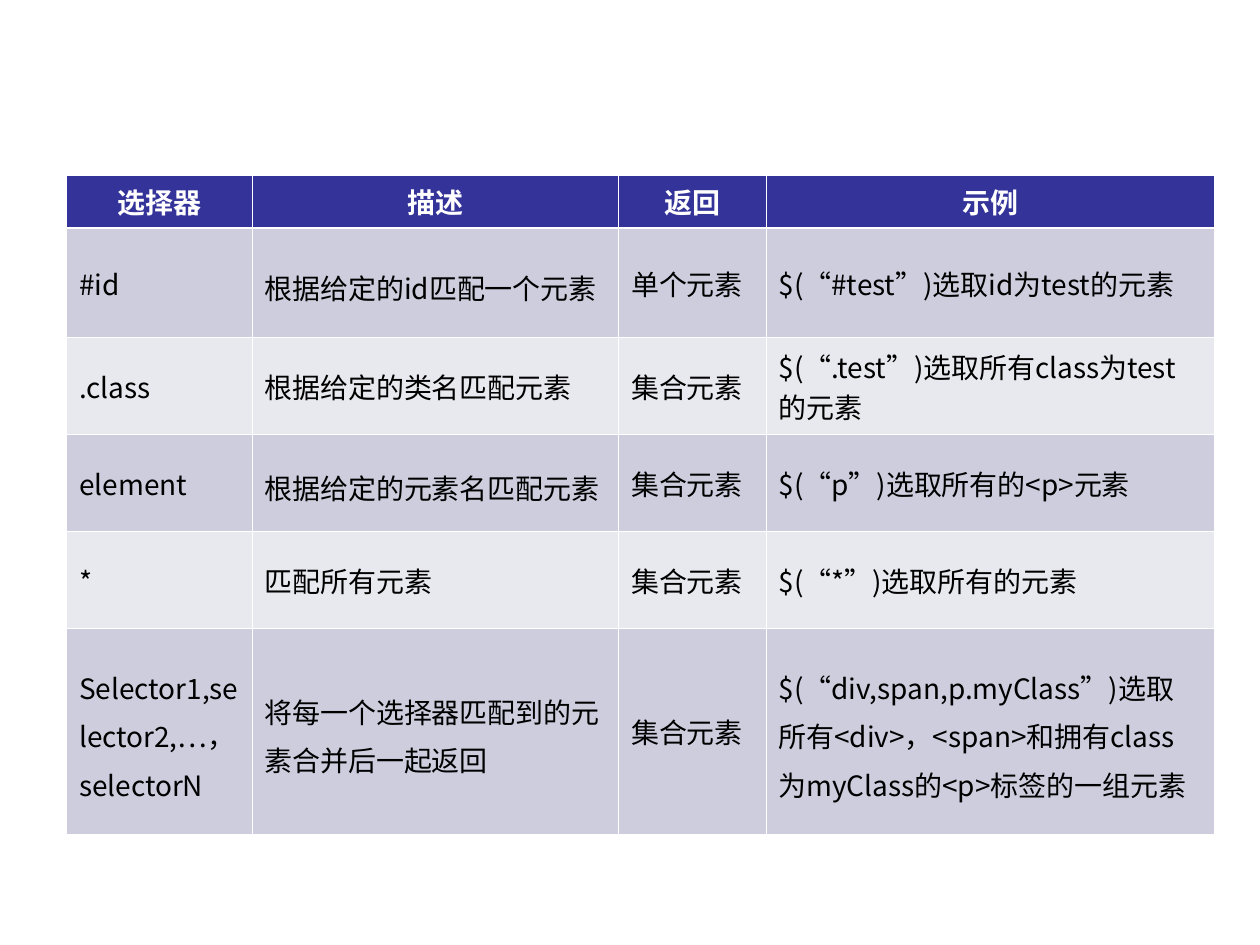
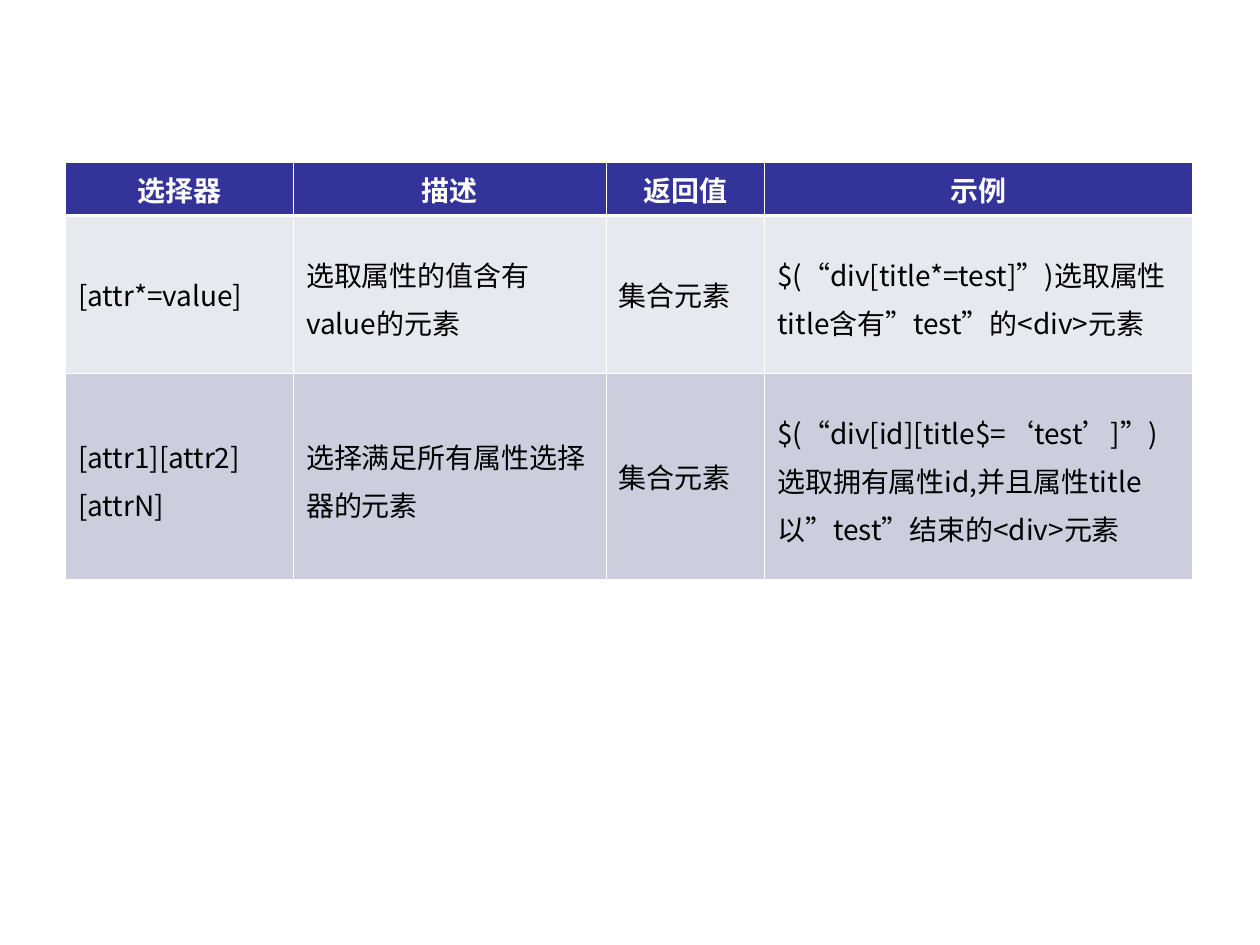
import dataclasses

import lxml.etree
import pptx
import pptx.dml.color
import pptx.enum.text
import pptx.oxml.ns
import pptx.util


@dataclasses.dataclass(frozen=True)
class Theme:
    font: str = "Noto Sans CJK SC"
    size: float = 16
    header_fill: str = "333399"
    header_text: str = "FFFFFF"
    body_text: str = "000000"
    dark_band: str = "CDCDDE"
    light_band: str = "E8E8EF"
    border: str = "FFFFFF"
    thin: float = 0.45
    thick: float = 1.47
    loose_spacing: float = 1.2


THEME = Theme()
SLIDE_WIDTH, SLIDE_HEIGHT = 10, 7.5


class Loose(str):
    """Cell text set with the wider line spacing."""


BASIC_SELECTORS = [
    ["选择器", "描述", "返回", "示例"],
    ["#id", Loose("根据给定的id匹配一个元素"), "单个元素",
     "$(“#test”)选取id为test的元素"],
    [".class", "根据给定的类名匹配元素", "集合元素",
     "$(“.test”)选取所有class为test的元素"],
    ["element", Loose("根据给定的元素名匹配元素"), "集合元素",
     "$(“p”)选取所有的<p>元素"],
    ["*", "匹配所有元素", "集合元素", "$(“*”)选取所有的元素"],
    [Loose("Selector1,selector2,…，selectorN"),
     Loose("将每一个选择器匹配到的元素合并后一起返回"), "集合元素",
     Loose("$(“div,span,p.myClass”)选取所有<div>，<span>"
           "和拥有class为myClass的<p>标签的一组元素")],
]

ATTRIBUTE_SELECTORS = [
    ["选择器", "描述", "返回值", "示例"],
    ["[attr*=value]", Loose("选取属性的值含有value的元素"), "集合元素",
     Loose("$(“div[title*=test]”)选取属性title含有”test”的<div>元素")],
    [Loose("[attr1][attr2]\n[attrN]"), Loose("选择满足所有属性选择器的元素"),
     "集合元素",
     Loose("$(“div[id][title$=‘test’]”)选取拥有属性id,"
           "并且属性title以”test”结束的<div>元素")],
]


def color(value):
    return pptx.dml.color.RGBColor.from_string(value)


def add_child(parent, tag, **attributes):
    return lxml.etree.SubElement(parent, pptx.oxml.ns.qn(tag), **attributes)


def draw_borders(cell, row):
    """White grid, with a thick rule between the header and the body."""
    widths = {
        "a:lnL": THEME.thin,
        "a:lnR": THEME.thin,
        "a:lnT": THEME.thick if row == 1 else THEME.thin,
        "a:lnB": THEME.thick if row == 0 else THEME.thin,
    }
    properties = cell._tc.get_or_add_tcPr()
    for tag, width in widths.items():
        line = add_child(properties, tag, w=str(int(pptx.util.Pt(width))))
        fill = add_child(line, "a:solidFill")
        add_child(fill, "a:srgbClr", val=THEME.border)


def format_text(cell, text, is_header):
    cell.text = text
    cell.vertical_anchor = pptx.enum.text.MSO_ANCHOR.MIDDLE
    alignment = pptx.enum.text.PP_ALIGN
    font_format = {
        "name": THEME.font,
        "size": pptx.util.Pt(THEME.size),
        "bold": is_header,
    }
    for paragraph in cell.text_frame.paragraphs:
        paragraph.alignment = alignment.CENTER if is_header else alignment.LEFT
        if isinstance(text, Loose):
            paragraph.line_spacing = THEME.loose_spacing
        for run in paragraph.runs:
            run.font.color.rgb = color(THEME.header_text if is_header else THEME.body_text)
            for name, value in font_format.items():
                setattr(run.font, name, value)
            add_child(run.font._element, "a:ea", typeface=THEME.font)


def add_selector_table(slide, left, top, columns, rows, content, bands):
    """Place a table; bands holds the two body fills in the order they alternate."""
    inches = pptx.util.Inches
    frame = slide.shapes.add_table(
        len(rows), len(columns), inches(left), inches(top),
        inches(sum(columns)), inches(sum(rows)))
    table = frame.table
    for column, width in zip(table.columns, columns):
        column.width = inches(width)
    for row, height in zip(table.rows, rows):
        row.height = inches(height)
    for row_index, texts in enumerate(content):
        is_header = row_index == 0
        fill = THEME.header_fill if is_header else bands[(row_index - 1) % 2]
        for column_index, text in enumerate(texts):
            cell = table.cell(row_index, column_index)
            draw_borders(cell, row_index)
            cell.fill.solid()
            cell.fill.fore_color.rgb = color(fill)
            format_text(cell, text, is_header)


def add_blank_slide(presentation):
    return presentation.slides.add_slide(presentation.slide_layouts[6])


def main():
    presentation = pptx.Presentation()
    presentation.slide_width = pptx.util.Inches(SLIDE_WIDTH)
    presentation.slide_height = pptx.util.Inches(SLIDE_HEIGHT)

    add_selector_table(
        add_blank_slide(presentation), 0.53, 1.39,
        columns=[1.47, 2.91, 1.17, 3.56],
        rows=[0.42] + [0.77] * 4 + [1.38],
        content=BASIC_SELECTORS,
        bands=(THEME.dark_band, THEME.light_band))
    add_selector_table(
        add_blank_slide(presentation), 0.52, 1.29,
        columns=[1.81, 2.48, 1.26, 3.39],
        rows=[0.37, 1.06, 1.38],
        content=ATTRIBUTE_SELECTORS,
        bands=(THEME.light_band, THEME.dark_band))

    presentation.save("out.pptx")


if __name__ == "__main__":
    main()
